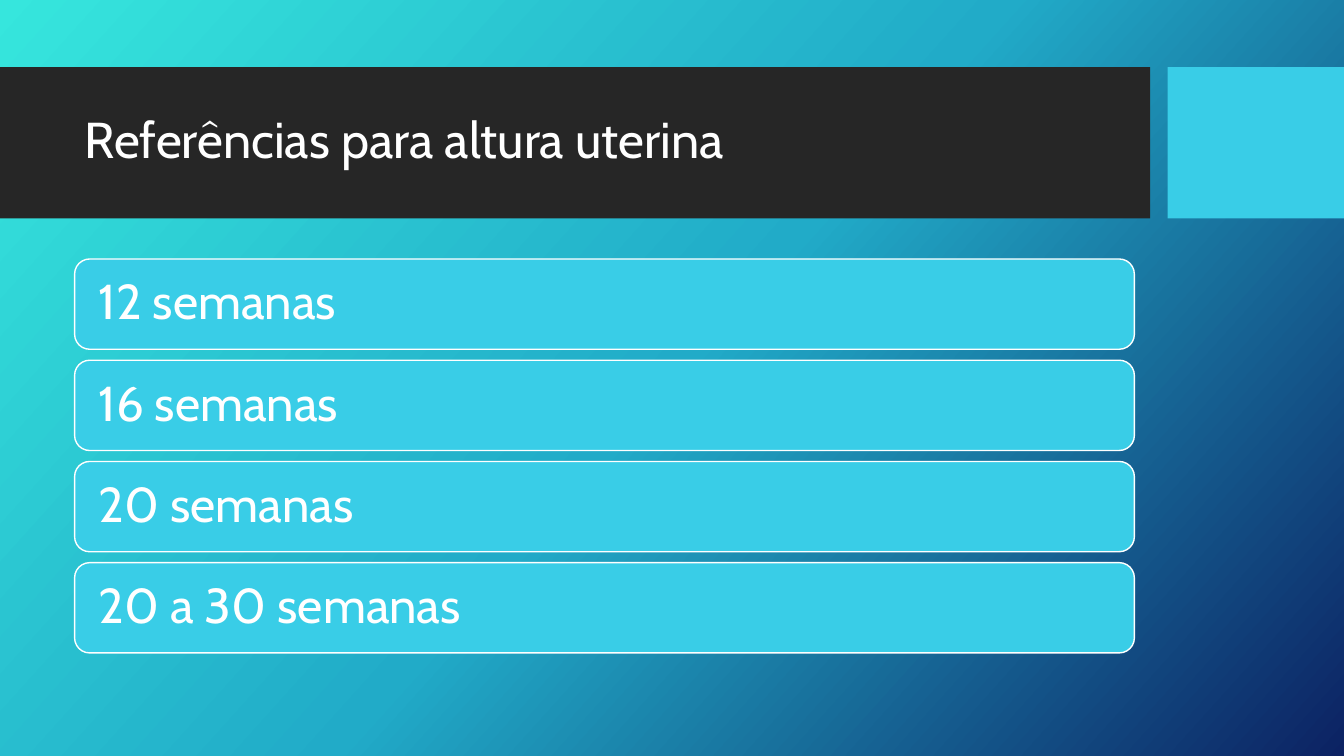
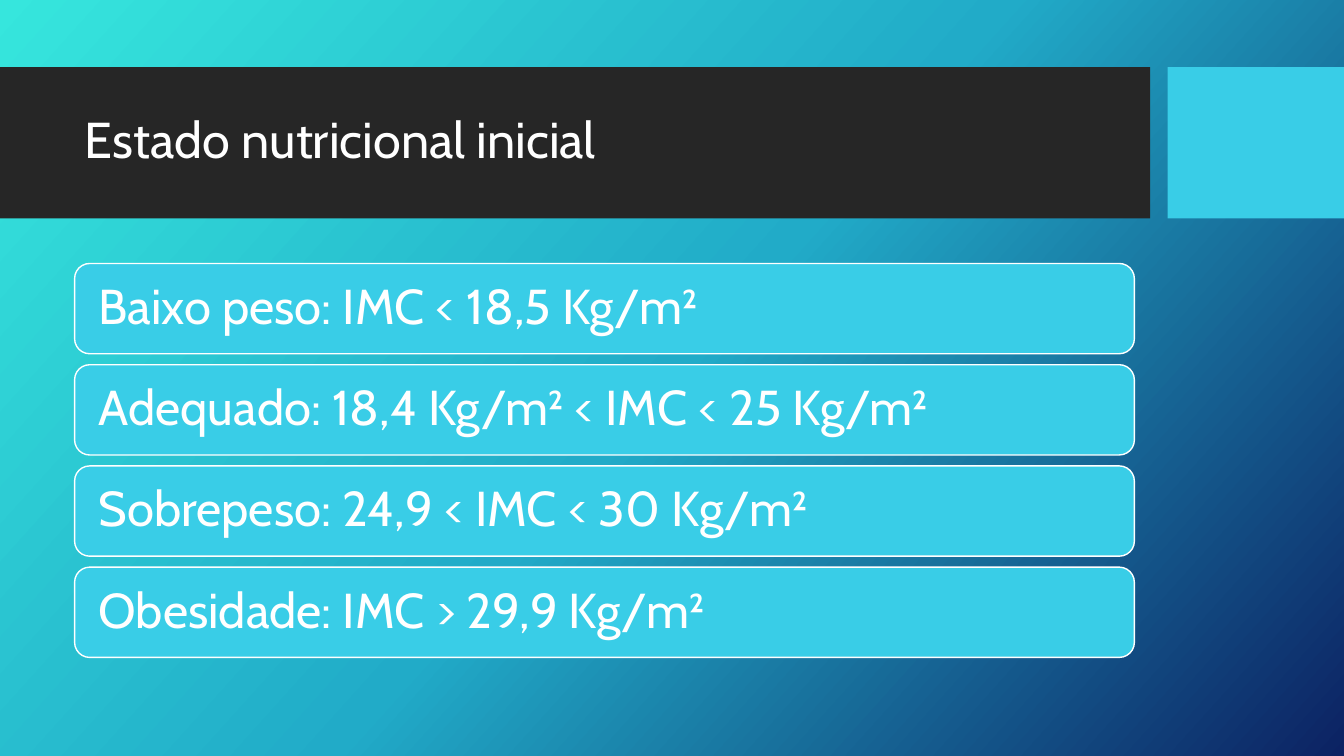
from copy import deepcopy
from dataclasses import dataclass

from pptx import Presentation
from pptx.dml.color import RGBColor
from pptx.enum import shapes, text
from pptx.util import Pt

SLIDES = [
    {
        "title": "Referências para altura uterina",
        "rows": ["12 semanas", "16 semanas", "20 semanas", "20 a 30 semanas"],
        "top": 185,
    },
    {
        "title": "Estado nutricional inicial",
        "rows": [
            "Baixo peso: IMC < 18,5 Kg/m²",
            "Adequado: 18,4 Kg/m² < IMC < 25 Kg/m²",
            "Sobrepeso: 24,9 < IMC < 30 Kg/m²",
            "Obesidade: IMC > 29,9 Kg/m²",
        ],
        "top": 188.2,
    },
]


@dataclass(frozen=True)
class Theme:
    font: str = "Cabin"
    title_size: float = 36
    row_size: float = 35
    white: str = "FFFFFF"
    dark: str = "262626"
    accent: str = "39CDE7"
    gradient: tuple = ((0, "36E6DD"), (0.5, "21ABC8"), (1, "0C2263"))
    gradient_angle: float = 42


THEME = Theme()
WIDTH, HEIGHT = 960, 540
BAND_TOP, BAND_HEIGHT = 48, 108
BANDS = [(0, 821.5, THEME.dark), (834, 126, THEME.accent)]
LEFT, CONTENT_WIDTH = 53.3, 757
TITLE_TOP, TITLE_HEIGHT = 59, 85
ROW_HEIGHT, ROW_GAP, ROW_INSET = 64.5, 7.8, 14


def rgb(value):
    return RGBColor.from_string(value)


def add_box(slide, kind, left, top, width, height, fill):
    shape = slide.shapes.add_shape(kind, Pt(left), Pt(top), Pt(width), Pt(height))
    shape.shadow.inherit = False
    shape.fill.solid()
    shape.fill.fore_color.rgb = rgb(fill)
    shape.line.fill.background()
    return shape


def write(shape, words, size):
    frame = shape.text_frame
    frame.text = words
    frame.word_wrap = True
    frame.auto_size = text.MSO_AUTO_SIZE.NONE
    frame.vertical_anchor = text.MSO_ANCHOR.MIDDLE
    paragraph = frame.paragraphs[0]
    paragraph.alignment = text.PP_ALIGN.LEFT
    paragraph.line_spacing = 0.9
    paragraph.font.name = THEME.font
    paragraph.font.size = Pt(size)
    paragraph.font.color.rgb = rgb(THEME.white)


def paint_background(layout):
    fill = layout.background.fill
    fill.gradient()
    fill.gradient_angle = 360 - THEME.gradient_angle
    stops = layout.element.xpath(".//p:bg//a:gsLst")[0]
    while len(stops) < len(THEME.gradient):
        stops.append(deepcopy(stops[-1]))
    for stop, (position, color) in zip(fill.gradient_stops, THEME.gradient):
        stop.position = position
        stop.color.rgb = rgb(color)


def add_layout_bands(layout, slide):
    for placeholder in list(layout.placeholders):
        if placeholder.placeholder_format.type != shapes.PP_PLACEHOLDER.TITLE:
            layout.shapes.element.remove(placeholder.element)
    for left, width, color in BANDS:
        band = add_box(slide, shapes.MSO_SHAPE.RECTANGLE,
                       left, BAND_TOP, width, BAND_HEIGHT, color)
        layout.shapes.element.append(band.element)


def add_title(slide, words):
    title = slide.shapes.title
    title.left, title.top = Pt(LEFT), Pt(TITLE_TOP)
    title.width, title.height = Pt(CONTENT_WIDTH), Pt(TITLE_HEIGHT)
    write(title, words, THEME.title_size)


def add_rows(slide, rows, top):
    for index, words in enumerate(rows):
        row = add_box(slide, shapes.MSO_SHAPE.ROUNDED_RECTANGLE,
                      LEFT, top + index * (ROW_HEIGHT + ROW_GAP),
                      CONTENT_WIDTH, ROW_HEIGHT, THEME.accent)
        row.line.color.rgb = rgb(THEME.white)
        row.line.width = Pt(1)
        row.text_frame.margin_left = row.text_frame.margin_right = Pt(ROW_INSET)
        write(row, words, THEME.row_size)


def main():
    presentation = Presentation()
    presentation.slide_width, presentation.slide_height = Pt(WIDTH), Pt(HEIGHT)
    layout = presentation.slide_layouts.get_by_name("Title Only")
    paint_background(layout)
    for index, content in enumerate(SLIDES):
        slide = presentation.slides.add_slide(layout)
        if index == 0:
            add_layout_bands(layout, slide)
        add_title(slide, content["title"])
        add_rows(slide, content["rows"], content["top"])
    presentation.save("out.pptx")


if __name__ == "__main__":
    main()
